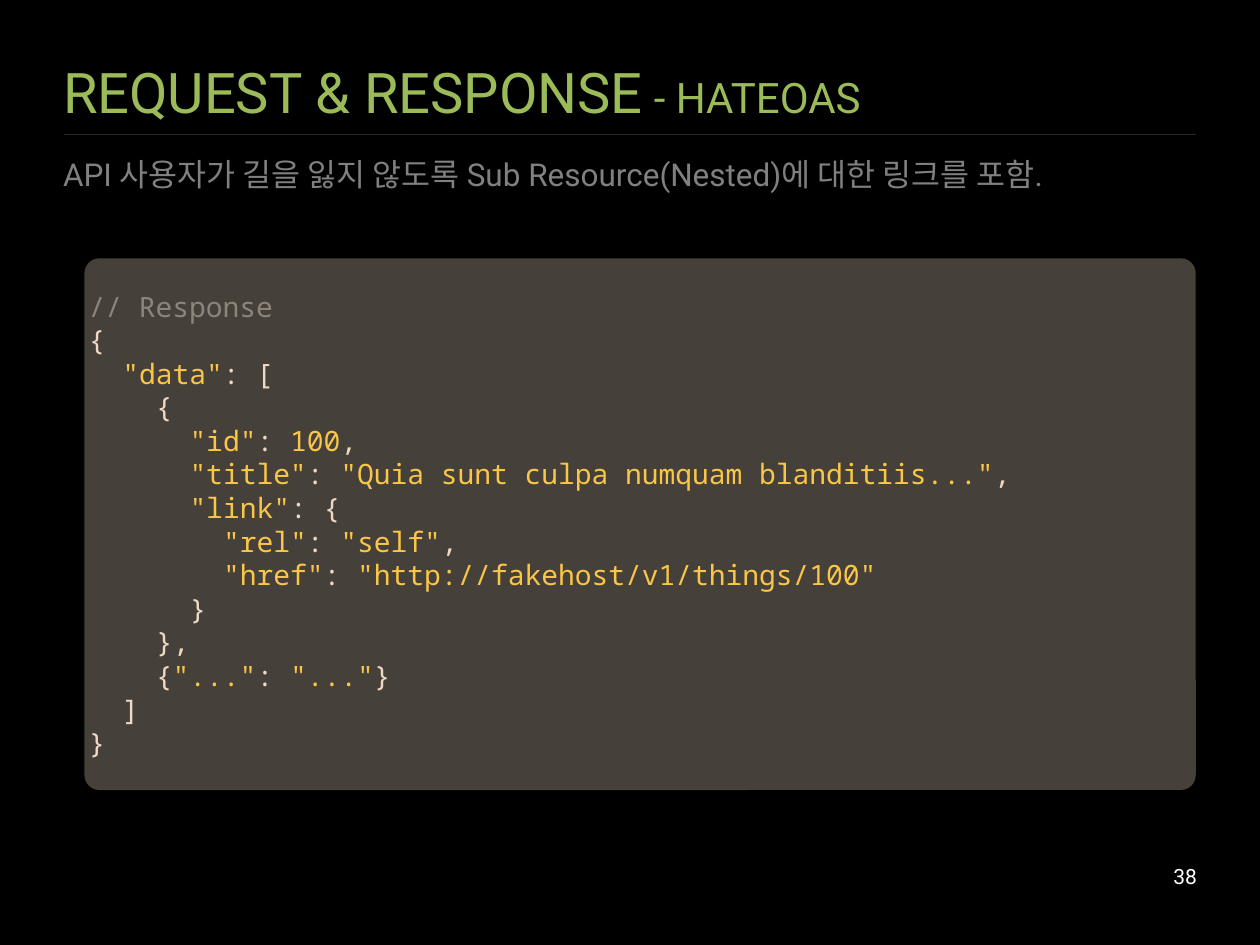
"""Build the HATEOAS response slide."""
from dataclasses import dataclass
from itertools import cycle
from typing import NamedTuple

from lxml.etree import SubElement
from pptx import Presentation
from pptx.dml.color import RGBColor
from pptx.enum.shapes import MSO_CONNECTOR, MSO_SHAPE
from pptx.enum.text import MSO_ANCHOR, MSO_AUTO_SIZE, PP_ALIGN
from pptx.oxml.ns import qn
from pptx.util import Pt


@dataclass(frozen=True)
class Theme:
    """Colours, fonts and type sizes."""
    back: str = "000000"
    rule: str = "595959"
    green: str = "9BBB59"
    grey: str = "808080"
    white: str = "FFFFFF"
    panel: str = "46403A"
    note: str = "8D857A"
    plain: str = "EFD9C4"
    gold: str = "FAC648"
    sans: str = "Roboto"
    mono: str = "Noto Sans Mono"
    head: float = 32
    sub: float = 24
    lead: float = 18
    code: float = 16
    foot: float = 12


class Box(NamedTuple):
    """A frame in points."""
    left: float
    top: float
    width: float
    height: float

    def lengths(self) -> list:
        """Return the four sides as lengths."""
        return [Pt(side) for side in self]


class Row(NamedTuple):
    """A code line: depth, then plain and gold parts split by bars."""
    depth: int
    text: str


THEME = Theme()
STEP = 2 * 0.6 * THEME.code
PITCH = 1.2 * THEME.code
ROWS = [
    Row(0, "{"),
    Row(1, '|"data"|: ['),
    Row(2, "{"),
    Row(3, '|"id"|: |100|,'),
    Row(3, '|"title"|: |"Quia sunt culpa numquam blanditiis..."|,'),
    Row(3, '|"link"|: {'),
    Row(4, '|"rel"|: |"self"|,'),
    Row(4, '|"href"|: |"http://fakehost/v1/things/100"'),
    Row(3, "}"),
    Row(2, "},"),
    Row(2, '{|"..."|: |"..."|}'),
    Row(1, "]"),
    Row(0, "}"),
]


def paint(fill, color: str, alpha: int = 100) -> None:
    """Fill with a colour at a percentage of opacity."""
    fill.solid()
    fill.fore_color.rgb = RGBColor.from_string(color)
    if alpha < 100:
        node = fill.fore_color._xFill.find(qn("a:srgbClr"))
        SubElement(node, qn("a:alpha"), val=str(alpha * 1000))


def write(para, text: str, *, size: float, color: str, font: str = THEME.sans) -> None:
    """Add a run of text in the given format."""
    run = para.add_run()
    run.text = text
    run.font.size = Pt(size)
    run.font.name = font
    run.font.color.rgb = RGBColor.from_string(color)


def frame(shape, anchor=MSO_ANCHOR.MIDDLE):
    """Set a shape's text frame to wrap without margins and return it."""
    text = shape.text_frame
    text.margin_left = text.margin_top = text.margin_right = text.margin_bottom = 0
    text.word_wrap = True
    text.auto_size = MSO_AUTO_SIZE.NONE
    text.vertical_anchor = anchor
    return text


def indent(para, left: float) -> None:
    """Indent a paragraph and drop its bullet."""
    props = para._p.get_or_add_pPr()
    props.set("marL", str(Pt(left)))
    props.set("indent", "0")
    SubElement(props, qn("a:buNone"))


def place(shape, box: Box) -> None:
    """Move a placeholder and give it the dim fill."""
    shape.left, shape.top, shape.width, shape.height = box.lengths()
    paint(shape.fill, THEME.back, 54)


def add_rule(slide) -> None:
    """Draw the line behind the title."""
    left, y, right = Pt(36.72), Pt(77.04), Pt(683.28)
    line = slide.shapes.add_connector(MSO_CONNECTOR.STRAIGHT, left, y, right, y)
    line.line.width = Pt(0.75)
    line.line.color.rgb = RGBColor.from_string(THEME.rule)
    SubElement(line.element.spPr, qn("a:effectLst"))
    slide.shapes.title.element.addprevious(line.element)


def add_heads(slide) -> None:
    """Fill the title and body placeholders."""
    title, body = slide.shapes.title, slide.placeholders[1]
    place(title, Box(36, 21.6, 648, 61.2))
    para = frame(title).paragraphs[0]
    para.alignment = PP_ALIGN.LEFT
    write(para, "REQUEST & RESPONSE", size=THEME.head, color=THEME.green)
    write(para, " - HATEOAS", size=THEME.sub, color=THEME.green)
    place(body, Box(36, 88.56, 648, 46.8))
    para = frame(body, MSO_ANCHOR.TOP).paragraphs[0]
    para.space_before = Pt(4)
    indent(para, 0)
    write(para, "API 사용자가 길을 잃지 않도록 Sub Resource(Nested)에 대한 링크를 포함.",
          size=THEME.lead, color=THEME.grey)


def add_page(slide, label: str) -> None:
    """Write the page number."""
    box = slide.shapes.add_textbox(*Box(516.24, 490.32, 167.76, 20.16).lengths())
    para = frame(box).paragraphs[0]
    para.alignment = PP_ALIGN.RIGHT
    write(para, label, size=THEME.foot, color=THEME.white)


def add_code(slide, note: str, rows: list[Row]) -> None:
    """Draw the code panel with its note and rows."""
    box = Box(48.24, 147.6, 635.04, 303.84)
    panel = slide.shapes.add_shape(MSO_SHAPE.ROUNDED_RECTANGLE, *box.lengths())
    panel.adjustments[0] = 0.028
    panel.shadow.inherit = False
    paint(panel.fill, THEME.panel)
    panel.line.fill.background()
    text = frame(panel)
    write(text.paragraphs[0], note, size=THEME.code, color=THEME.note, font=THEME.mono)
    for row in rows:
        para = text.add_paragraph()
        for part, color in zip(row.text.split("|"), cycle((THEME.plain, THEME.gold))):
            if part:
                write(para, part, size=THEME.code, color=color, font=THEME.mono)
    for para, depth in zip(text.paragraphs, [0, *(row.depth for row in rows)]):
        para.alignment = PP_ALIGN.LEFT
        para.line_spacing = Pt(PITCH)
        indent(para, depth * STEP)


def main() -> None:
    """Build and save the slide."""
    deck = Presentation()
    deck.slide_width, deck.slide_height = Pt(720), Pt(540)
    slide = deck.slides.add_slide(deck.slide_layouts[1])
    paint(slide.background.fill, THEME.back)
    add_rule(slide)
    add_heads(slide)
    add_page(slide, "38")
    add_code(slide, "// Response", ROWS)
    deck.save("out.pptx")


if __name__ == "__main__":
    main()
